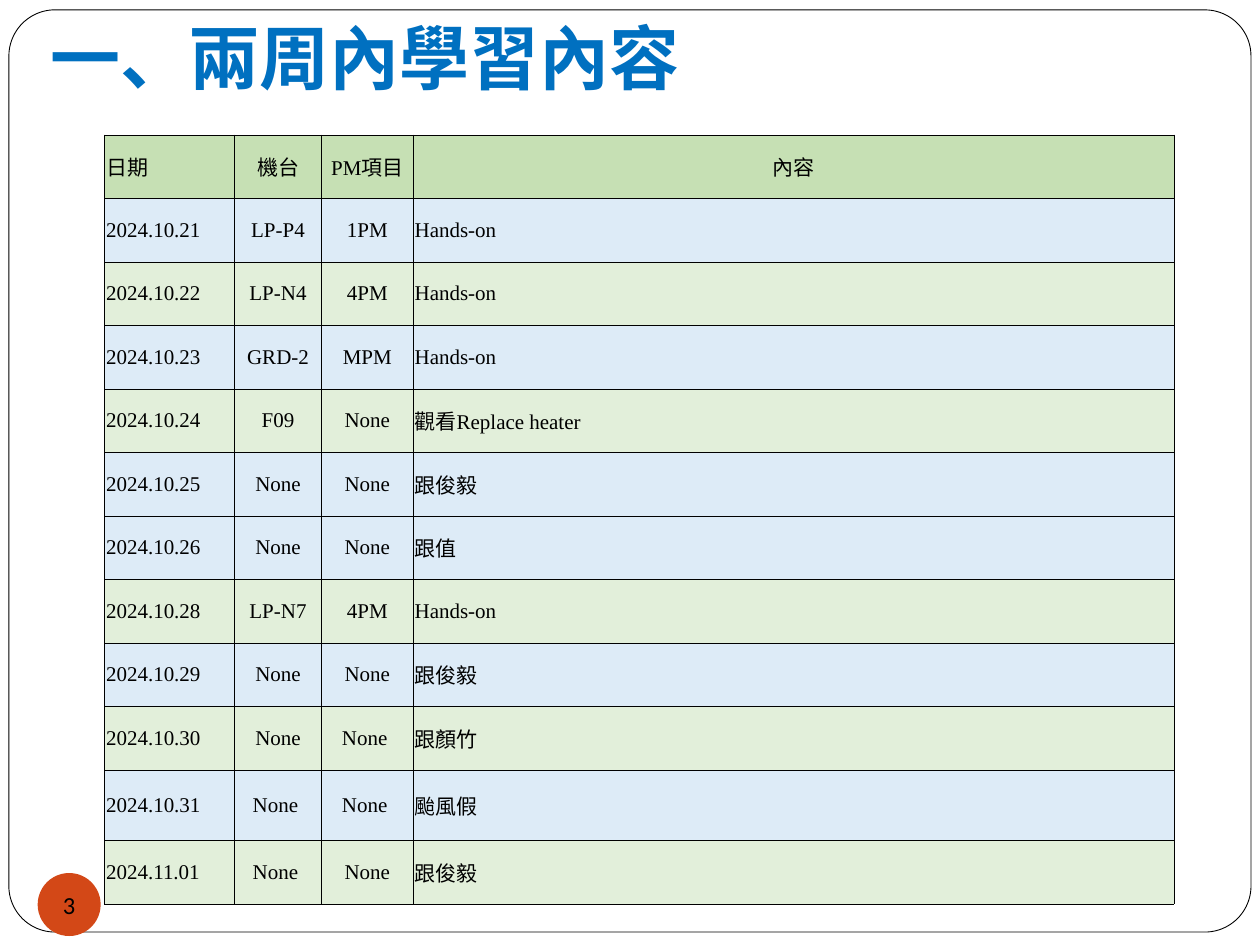
from dataclasses import dataclass

from lxml import etree
from pptx import Presentation
from pptx.dml.color import RGBColor
from pptx.enum.shapes import MSO_SHAPE
from pptx.enum.text import MSO_ANCHOR, MSO_AUTO_SIZE, PP_ALIGN
from pptx.oxml.ns import qn
from pptx.util import Cm, Pt

LEFT, CENTER = PP_ALIGN.LEFT, PP_ALIGN.CENTER
MIDDLE, BOTTOM = MSO_ANCHOR.MIDDLE, MSO_ANCHOR.BOTTOM
ROUNDED, OVAL = MSO_SHAPE.ROUNDED_RECTANGLE, MSO_SHAPE.OVAL
TITLE_ONLY = 5


@dataclass(frozen=True)
class Theme:
    ink: str = "000000"
    paper: str = "FFFFFF"
    title: str = "0070C0"
    badge: str = "D34817"
    header: str = "C6E0B4"
    bands: tuple = ("DDEBF7", "E2EFDA")
    title_size: float = 40
    table_size: float = 12
    badge_size: float = 14
    frame_line: float = 0.5
    grid_line: float = 0.25
    serif: str = "Times New Roman"
    sans: str = "Calibri"
    chinese: str = "Noto Sans CJK SC"


HEADER = ("日期", "機台", "PM項目", "內容")
WEEKS = (
    (
        ("2024.10.21", "LP-P4", "1PM", "Hands-on"),
        ("2024.10.22", "LP-N4", "4PM", "Hands-on"),
        ("2024.10.23", "GRD-2", "MPM", "Hands-on"),
        ("2024.10.24", "F09", "None", "觀看Replace heater"),
        ("2024.10.25", "None", "None", "跟俊毅"),
    ),
    (
        ("2024.10.26", "None", "None", "跟值"),
        ("2024.10.28", "LP-N7", "4PM", "Hands-on"),
        ("2024.10.29", "None", "None", "跟俊毅"),
        ("2024.10.30", "None", "None ", "跟顏竹"),
        ("2024.10.31", "None ", "None ", "颱風假"),
        ("2024.11.01", "None ", "None", "跟俊毅"),
    ),
)
COLUMN_WIDTHS = (2.62, 1.75, 1.85, 15.34)
ROW_HEIGHT = 1.28
HOLIDAY_ROW, HOLIDAY_HEIGHT = 10, 1.42


def write(frame, text, *, font, chinese, size, color, bold=False, align=LEFT):
    """Put one formatted paragraph into a text frame."""
    para = frame.paragraphs[0]
    para.alignment = align
    span = para.add_run()
    span.text = text
    span.font.name = font
    span.font.size = Pt(size)
    span.font.bold = bold
    span.font.color.rgb = RGBColor.from_string(color)
    east_asian = etree.SubElement(span.font._element, qn("a:ea"))
    east_asian.set("typeface", chinese)


def set_margins(target, sides, ends):
    target.margin_left = target.margin_right = Cm(sides)
    target.margin_top = target.margin_bottom = Cm(ends)


class SlideBuilder:
    def __init__(self, page, theme):
        self.page = page
        self.theme = theme

    def shape(self, kind, left, top, width, height, fill):
        shape = self.page.shapes.add_shape(
            kind, Cm(left), Cm(top), Cm(width), Cm(height))
        shape.shadow.inherit = False
        shape.fill.solid()
        shape.fill.fore_color.rgb = RGBColor.from_string(fill)
        shape.line.fill.background()
        return shape

    def border(self, left, top, width, height):
        border = self.shape(ROUNDED, left, top, width, height, self.theme.paper)
        border.adjustments[0] = 0.05
        border.line.color.rgb = RGBColor.from_string(self.theme.ink)
        border.line.width = Pt(self.theme.frame_line)
        # Behind the title placeholder
        self.page.shapes._spTree.insert(2, border._element)

    def title(self, text, left, top, width, height):
        box = self.page.shapes.title
        box.left, box.top, box.width, box.height = map(
            Cm, (left, top, width, height))
        frame = box.text_frame
        frame.auto_size = MSO_AUTO_SIZE.NONE
        frame.vertical_anchor = BOTTOM
        set_margins(frame, 0.25, 0.13)
        frame.margin_bottom = Cm(0.25)
        write(frame, text, font=self.theme.chinese, chinese=self.theme.chinese,
              size=self.theme.title_size, color=self.theme.title, bold=True)

    def badge(self, text, left, top, size):
        frame = self.shape(OVAL, left, top, size, size,
                           self.theme.badge).text_frame
        frame.word_wrap = False
        frame.vertical_anchor = MIDDLE
        set_margins(frame, 0, 0)
        write(frame, text, font=self.theme.sans, chinese=self.theme.chinese,
              size=self.theme.badge_size, color=self.theme.ink, align=CENTER)

    def cell(self, cell, text, fill, align):
        cell.vertical_anchor = MIDDLE
        set_margins(cell, 0.03, 0.13)
        write(cell.text_frame, text, font=self.theme.serif,
              chinese=self.theme.chinese, size=self.theme.table_size,
              color=self.theme.ink, align=align)
        # Borders come before the fill in the cell properties
        properties = cell._tc.get_or_add_tcPr()
        for side in ("lnL", "lnR", "lnT", "lnB"):
            line = etree.SubElement(properties, qn(f"a:{side}"),
                                    w=str(Pt(self.theme.grid_line)))
            solid = etree.SubElement(line, qn("a:solidFill"))
            etree.SubElement(solid, qn("a:srgbClr"), val=self.theme.ink)
        cell.fill.solid()
        cell.fill.fore_color.rgb = RGBColor.from_string(fill)

    def schedule(self, left, top):
        # The colour bands start again with each week
        rows = [(HEADER, self.theme.header)]
        for week in WEEKS:
            rows += [(entry, self.theme.bands[day % 2])
                     for day, entry in enumerate(week)]
        heights = [ROW_HEIGHT] * len(rows)
        heights[HOLIDAY_ROW] = HOLIDAY_HEIGHT

        table = self.page.shapes.add_table(
            len(rows), len(HEADER), Cm(left), Cm(top),
            Cm(sum(COLUMN_WIDTHS)), Cm(sum(heights))).table
        for column, width in zip(table.columns, COLUMN_WIDTHS):
            column.width = Cm(width)
        for row, height in zip(table.rows, heights):
            row.height = Cm(height)

        last = len(HEADER) - 1
        for r, (entry, fill) in enumerate(rows):
            for c, text in enumerate(entry):
                centered = 0 < c < last or (r == 0 and c == last)
                self.cell(table.cell(r, c), text, fill,
                          CENTER if centered else LEFT)


def main():
    deck = Presentation()
    deck.slide_width, deck.slide_height = Cm(25.4), Cm(19.05)
    page = deck.slides.add_slide(deck.slide_layouts[TITLE_ONLY])
    builder = SlideBuilder(page, Theme())

    # Border and heading
    builder.border(0.18, 0.2, 25.04, 18.59)
    builder.title("一、兩周內學習內容", 0.76, 0.2, 21.59, 2.03)

    # Two-week schedule
    builder.schedule(2.11, 2.72)

    # Page number
    builder.badge("3", 0.76, 17.6, 1.27)

    deck.save("out.pptx")


if __name__ == "__main__":
    main()
